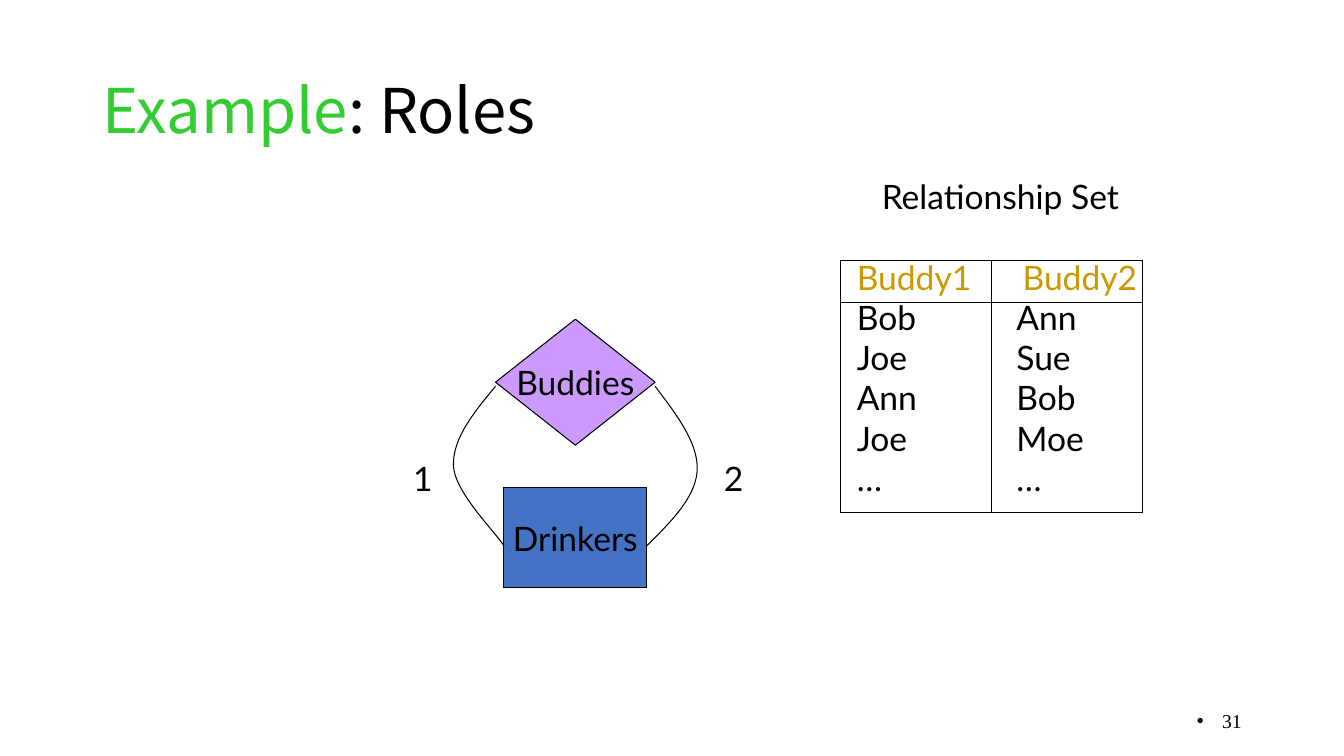
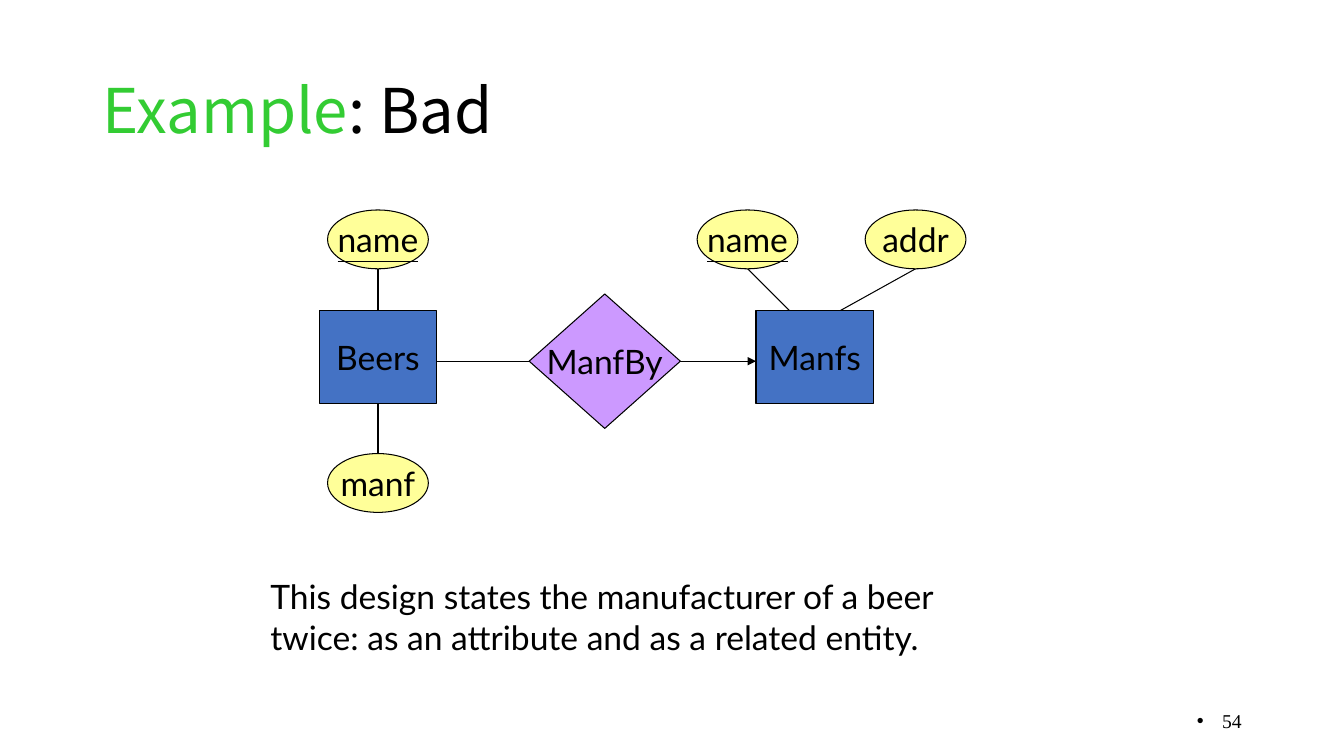
import dataclasses
import typing

import pptx
import pptx.dml.color
import pptx.enum.shapes
import pptx.enum.text
import pptx.oxml
import pptx.oxml.ns
import pptx.util

Pt = pptx.util.Pt
Shapes = pptx.enum.shapes.MSO_SHAPE
Anchor = pptx.enum.text.MSO_ANCHOR
Align = pptx.enum.text.PP_ALIGN

BLACK, GREEN, GOLD = "000000", "33CC33", "CC9900"
BLUE, PURPLE, YELLOW = "4472C4", "CC99FF", "FFFF99"
LINE_WIDTH = 0.75
BODY = {"name": "Lato", "size": Pt(24)}
TITLE = {"name": "Noto Sans CJK SC", "size": Pt(44)}
NUMBER = {"name": "Times New Roman", "size": Pt(14)}
NO_STYLE_TABLE = "{2D5ABB26-0587-4C30-8999-92F81FD0307C}"

Point = tuple[float, float]


@dataclasses.dataclass(frozen=True)
class Node:
    """One element of an entity-relationship diagram."""
    text: str
    left: float
    top: float
    width: float
    height: float
    kind: typing.Any
    fill: str
    underline: bool = False

    def at(self, across: float, down: float) -> Point:
        """Point at the given fractions of the width and height."""
        return self.left + across * self.width, self.top + down * self.height


@dataclasses.dataclass(frozen=True)
class Link:
    start: Point
    end: Point
    arrow: bool = False


def entity(text: str, left: float, top: float, width: float = 84, height: float = 66) -> Node:
    return Node(text, left, top, width, height, Shapes.RECTANGLE, BLUE)


def relationship(text: str, left: float, top: float, width: float, height: float) -> Node:
    return Node(text, left, top, width, height, Shapes.DIAMOND, PURPLE)


def attribute(text: str, left: float, top: float, key: bool = False) -> Node:
    return Node(text, left, top, 72, 42, Shapes.OVAL, YELLOW, key)


def colour(hex_text: str) -> pptx.dml.color.RGBColor:
    return pptx.dml.color.RGBColor.from_string(hex_text)


def xml_child(parent, tag: str, **attributes: str):
    child = pptx.oxml.ns.qn(tag)
    element = parent.makeelement(child, attributes)
    parent.append(element)
    return element


def set_line(line) -> None:
    line.color.rgb = colour(BLACK)
    line.width = Pt(LINE_WIDTH)


def add_span(para, text: str, style: dict, hex_text: str = BLACK) -> None:
    span = para.add_run()
    span.text = text
    for name, value in style.items():
        setattr(span.font, name, value)
    span.font.color.rgb = colour(hex_text)


def add_box(page, left: float, top: float, width: float, height: float, **frame_format):
    """Add an empty text box and return its first paragraph."""
    box = page.shapes.add_textbox(Pt(left), Pt(top), Pt(width), Pt(height))
    for name, value in ({"word_wrap": True} | frame_format).items():
        setattr(box.text_frame, name, value)
    return box.text_frame.paragraphs[0]


def add_page(deck, topic: str, number: str):
    """Add a slide with the shared title and page number."""
    page = deck.slides.add_slide(deck.slide_layouts[6])
    para = add_box(page, 66, 29, 828, 104, vertical_anchor=Anchor.MIDDLE)
    para.line_spacing = 0.9
    add_span(para, "Example", TITLE, GREEN)
    add_span(para, f": {topic}", TITLE)

    para = add_box(page, 678, 500.5, 216, 28.8, vertical_anchor=Anchor.MIDDLE)
    para.alignment = Align.RIGHT
    properties = para._p.get_or_add_pPr()
    properties.set("marL", str(Pt(18)))
    properties.set("indent", str(-Pt(18)))
    xml_child(properties, "a:buFont", typeface="Arial")
    xml_child(properties, "a:buChar", char="•")
    add_span(para, number, NUMBER)
    return page


def add_label(page, text: str, left: float, top: float, width: float, height: float) -> None:
    add_span(add_box(page, left, top, width, height), text, BODY)


def add_node(page, node: Node) -> None:
    shape = page.shapes.add_shape(
        node.kind, Pt(node.left), Pt(node.top), Pt(node.width), Pt(node.height))
    shape.shadow.inherit = False
    shape.fill.solid()
    shape.fill.fore_color.rgb = colour(node.fill)
    set_line(shape.line)
    shape.text_frame.word_wrap = False
    shape.text_frame.vertical_anchor = Anchor.MIDDLE
    para = shape.text_frame.paragraphs[0]
    para.alignment = Align.CENTER
    add_span(para, node.text, BODY | {"underline": node.underline})


def add_link(page, link: Link) -> None:
    connector = page.shapes.add_connector(
        pptx.enum.shapes.MSO_CONNECTOR.STRAIGHT,
        *(Pt(value) for value in link.start + link.end))
    set_line(connector.line)
    if link.arrow:
        xml_child(connector.line._get_or_add_ln(), "a:tailEnd", type="triangle")
    xml_child(connector._element.spPr, "a:effectLst")


def bezier(points: list[Point], share: float) -> Point:
    """Point on a cubic curve at the given share of its course."""
    rest = 1 - share
    weights = (rest ** 3, 3 * rest ** 2 * share, 3 * rest * share ** 2, share ** 3)
    x, y = (sum(w * p[axis] for w, p in zip(weights, points)) for axis in (0, 1))
    return x, y


def add_curve(page, points: list[Point], steps: int = 24) -> None:
    """Draw joined cubic curves; each shares its end with the next one's start."""
    course = [bezier(points[first:first + 4], step / steps)
              for first in range(0, len(points) - 1, 3)
              for step in range(1, steps + 1)]
    start, *others = [(Pt(x), Pt(y)) for x, y in [points[0], *course]]
    builder = page.shapes.build_freeform(*start, scale=1.0)
    builder.add_line_segments(others, close=False)
    curve = builder.convert_to_shape()
    curve.shadow.inherit = False
    curve.fill.background()
    set_line(curve.line)


def set_borders(cell, sides: str) -> None:
    """Draw the sides named by the letters L, R, T and B."""
    properties = cell._tc.get_or_add_tcPr()
    for side in "LRTB":
        if side in sides:
            border = xml_child(properties, f"a:ln{side}", w=str(Pt(LINE_WIDTH)))
            fill = xml_child(border, "a:solidFill")
            xml_child(fill, "a:srgbClr", val=BLACK)
        else:
            xml_child(xml_child(properties, f"a:ln{side}", w="0"), "a:noFill")


def add_relationship_table(page, rows: list[tuple[str, str]]) -> None:
    last = len(rows) - 1
    heights = [30] + [28.8] * (last - 1) + [34.8]
    frame = page.shapes.add_table(
        len(rows), 2, Pt(600), Pt(186), Pt(216), Pt(sum(heights)))
    table = frame.table
    table._tbl.tblPr.find(pptx.oxml.ns.qn("a:tableStyleId")).text = NO_STYLE_TABLE
    table.first_row = table.horz_banding = False
    for row, texts in enumerate(rows):
        table.rows[row].height = Pt(heights[row])
        header = row == 0
        for column, text in enumerate(texts):
            cell = table.cell(row, column)
            indent = 12 if column == 0 else 22.5 if header else 18
            margins = {"left": indent, "right": 0, "top": 1.6 if header else 0, "bottom": 0}
            for side, margin in margins.items():
                setattr(cell, f"margin_{side}", Pt(margin))
            set_borders(cell, "LR" + "TB" * header + "T" * (row == 1) + "B" * (row == last))
            cell.fill.background()
            para = cell.text_frame.paragraphs[0]
            para.line_spacing = Pt(25)
            add_span(para, text, BODY, GOLD if header else BLACK)


def build_roles(deck) -> None:
    page = add_page(deck, "Roles", "31")
    add_node(page, entity("Drinkers", 360, 348, 102, 72))
    add_node(page, relationship("Buddies", 354, 228, 114, 90))
    for role, left in (("1", 288), ("2", 510)):
        add_label(page, role, left, 323.5, 27, 36)
    add_label(page, "Relationship Set", 622.8, 122.4, 200, 36)
    add_relationship_table(page, [
        ("Buddy1", "Buddy2"), ("Bob", "Ann"), ("Joe", "Sue"),
        ("Ann", "Bob"), ("Joe", "Moe"), ("…", "…")])
    add_curve(page, [(468, 276), (484, 297), (499, 317), (498, 336),
                     (497, 355), (480, 372), (462, 390)])
    add_curve(page, [(354, 276), (338, 295), (323, 314), (324, 333),
                     (325, 352), (354, 380), (360, 390)])


def build_bad(deck) -> None:
    page = add_page(deck, "Bad", "54")
    beers, manfs = entity("Beers", 228, 222), entity("Manfs", 540, 222)
    made_by = relationship("ManfBy", 378, 210, 108, 96)
    beer_name = attribute("name", 234, 150, key=True)
    beer_manf = attribute("manf", 234, 324)
    manf_name = attribute("name", 498, 150, key=True)
    manf_addr = attribute("addr", 618, 150)
    middle = made_by.at(0, 0.5)[1]
    for link in (
        Link(made_by.at(0, 0.5), (beers.at(1, 0)[0], middle)),
        Link(made_by.at(1, 0.5), (manfs.left, middle), arrow=True),
        Link(beer_name.at(0.5, 1), beers.at(0.5, 0)),
        Link(beer_manf.at(0.5, 0), beers.at(0.5, 1)),
        Link(manf_name.at(0.5, 1), (564, manfs.top)),
        Link(manf_addr.at(0.5, 1), (600, manfs.top)),
    ):
        add_link(page, link)
    for node in (beers, manfs, made_by, beer_name, beer_manf, manf_name, manf_addr):
        add_node(page, node)
    add_label(page, "This design states the manufacturer of a beer twice: "
              "as an attribute and as a related entity.", 186, 408, 541, 65)


def main() -> None:
    deck = pptx.Presentation()
    deck.slide_width, deck.slide_height = Pt(960), Pt(540)
    build_roles(deck)
    build_bad(deck)
    deck.save("out.pptx")


if __name__ == "__main__":
    main()
